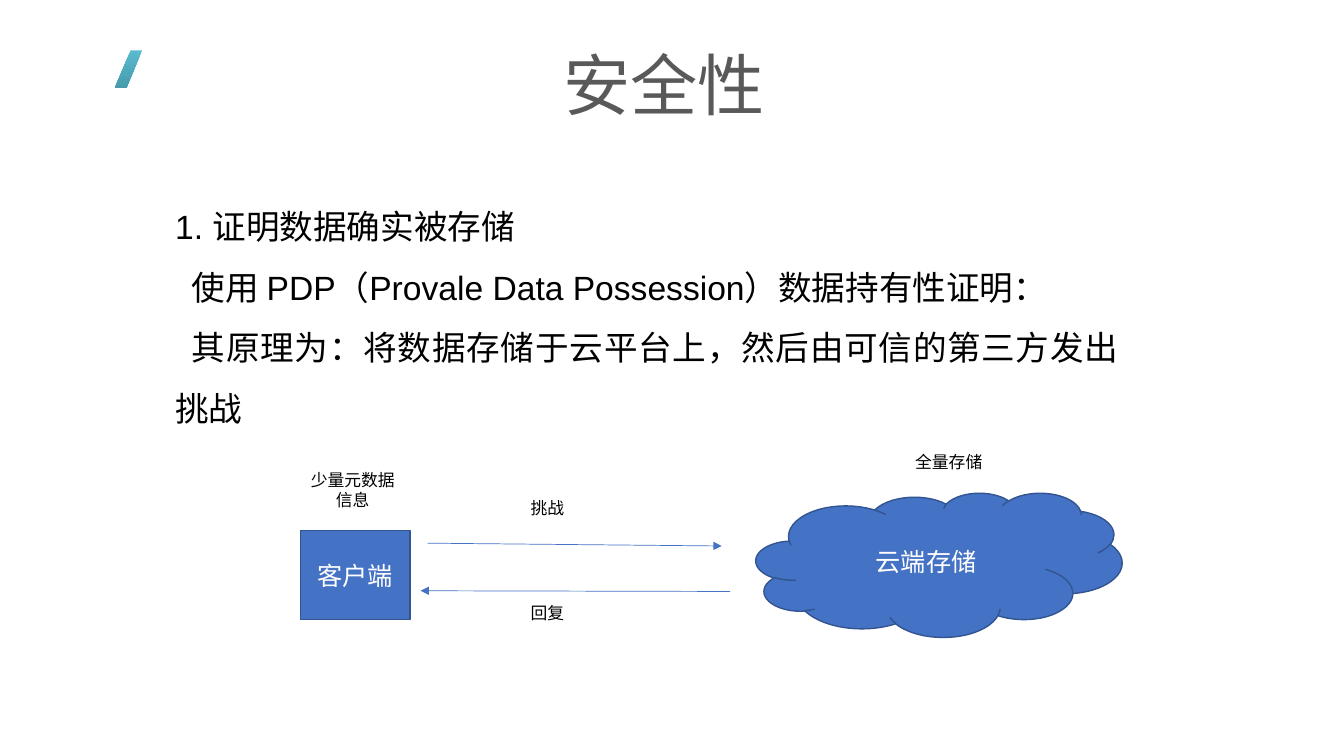
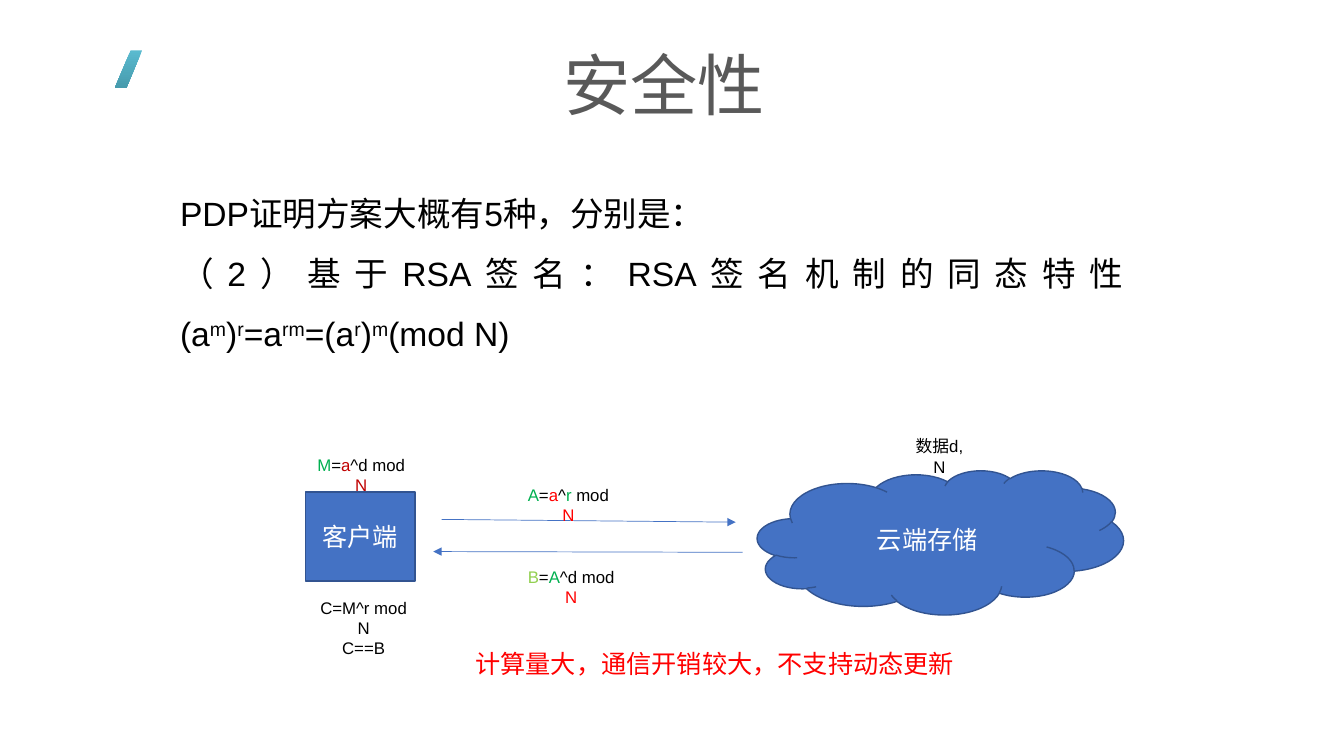
from collections import namedtuple

from lxml import etree
from pptx import Presentation
from pptx.dml.color import RGBColor
from pptx.enum.shapes import MSO_CONNECTOR as Connector, MSO_SHAPE as Preset
from pptx.enum.text import MSO_ANCHOR as Anchor, PP_ALIGN as Align
from pptx.oxml.ns import qn
from pptx.util import Pt

BLACK, WHITE, GREY = "000000", "FFFFFF", "595959"
BLUE, NAVY = "4472C4", "325491"
GREEN, LIME, RED, DARK_RED = "00B050", "92D050", "FF0000", "C00000"
TEAL_STOPS = ((0, "5ABACF"), (0.99, "479BAD"))

Piece = namedtuple("Piece", "text color raised", defaults=(BLACK, False))


def rgb(value):
    return RGBColor.from_string(value)


def raised(text):
    return Piece(text, raised=True)


class SlideBuilder:
    font = "Arial"
    title_size, body_size, shape_size, label_size = 48, 24, 18, 12

    def __init__(self):
        self.deck = Presentation()
        self.deck.slide_width, self.deck.slide_height = Pt(960), Pt(540)
        self.layout = self.deck.slide_layouts[5]
        self.page = None

    def start(self, title):
        self.page = self.deck.slides.add_slide(self.layout)
        if len(self.deck.slides) == 1:
            self.add_layout_mark()
        box = self.page.shapes.title
        box.left, box.top, box.width, box.height = Pt(101), Pt(35), Pt(747), Pt(57)
        box.text_frame.text = title
        box.text_frame.vertical_anchor = Anchor.MIDDLE
        para = box.text_frame.paragraphs[0]
        para.alignment, para.line_spacing = Align.CENTER, 0.9
        self.style(para.runs[0], self.title_size, GREY)

    def add_layout_mark(self):
        mark = self.preset(Preset.PARALLELOGRAM, 82, 36, 19.5, 27)
        mark.adjustments[0] = 0.58
        mark.fill.gradient()
        mark.fill.gradient_angle = 270
        for stop, (position, color) in zip(mark.fill.gradient_stops, TEAL_STOPS):
            stop.position, stop.color.rgb = position, rgb(color)
        mark.line.fill.background()
        mark.element.nvSpPr.cNvPr.set("id", "99")
        self.layout.shapes.element.append(mark.element)

    def style(self, span, size, color):
        span.font.name, span.font.size = self.font, Pt(size)
        span.font.color.rgb = rgb(color)

    def preset(self, kind, left, top, width, height):
        shape = self.page.shapes.add_shape(kind, Pt(left), Pt(top), Pt(width), Pt(height))
        shape.shadow.inherit = False
        return shape

    def node(self, kind, text, left, top, width, height):
        shape = self.preset(kind, left, top, width, height)
        shape.fill.solid()
        shape.fill.fore_color.rgb = rgb(BLUE)
        shape.line.color.rgb, shape.line.width = rgb(NAVY), Pt(1)
        shape.text_frame.text = text
        shape.text_frame.vertical_anchor = Anchor.MIDDLE
        para = shape.text_frame.paragraphs[0]
        para.alignment = Align.CENTER
        self.style(para.runs[0], self.shape_size, WHITE)

    def text(self, lines, left, top, width, height, size, align):
        box = self.page.shapes.add_textbox(Pt(left), Pt(top), Pt(width), Pt(height))
        frame = box.text_frame
        frame.word_wrap = True
        for index, line in enumerate(lines):
            para = frame.add_paragraph() if index else frame.paragraphs[0]
            para.alignment = align
            for piece in [Piece(line)] if isinstance(line, str) else line:
                span = para.add_run()
                span.text = piece.text
                self.style(span, size, piece.color)
                if piece.raised:
                    span._r.get_or_add_rPr().set("baseline", "30000")
        return frame.paragraphs

    def label(self, lines, left, top, width):
        height = 7 + 14.5 * len(lines)
        self.text(lines, left, top, width, height, self.label_size, Align.CENTER)

    def body(self, lines, left, top, height, indents=()):
        paras = self.text(lines, left, top, 688, height, self.body_size, Align.JUSTIFY)
        for para in paras:
            para.line_spacing = 1.5
        for para, indent in zip(paras, indents):
            para._p.get_or_add_pPr().set("indent", str(Pt(indent)))

    def arrow(self, left, top, run, rise):
        line = self.page.shapes.add_connector(
            Connector.STRAIGHT, Pt(left), Pt(top), Pt(left + run), Pt(top + rise))
        line.line.color.rgb, line.line.width = rgb(BLUE), Pt(0.5)
        outline = line.line._get_or_add_ln()
        etree.SubElement(outline, qn("a:tailEnd"), type="triangle")
        etree.SubElement(line.element.spPr, qn("a:effectLst"))

    def exchange(self, client, cloud, challenge, reply):
        self.node(Preset.RECTANGLE, "客户端", *client, 78.5, 63.5)
        self.node(Preset.CLOUD, "云端存储", *cloud, 261.5, 103)
        self.arrow(*challenge, 210, 2)
        self.arrow(*reply, -221, -0.5)


def storage_proof(slides):
    slides.start("安全性")
    slides.body(
        ["1. 证明数据确实被存储",
         "使用 PDP（Provale Data Possession）数据持有性证明：",
         "其原理为：将数据存储于云平台上，然后由可信的第三方发出挑战"],
        118, 129.5, 180, indents=(0, 12, 12))
    slides.exchange((214.5, 379), (540, 352), (305.5, 388), (521.5, 422.5))
    slides.label(["少量元数据", "信息"], 214.5, 332, 75)
    slides.label(["全量存储"], 646, 319.5, 63.5)
    slides.label(["挑战"], 371.5, 352, 39)
    slides.label(["回复"], 371.5, 427, 39)


def rsa_signature(slides):
    slides.start("安全性")
    slides.body(
        ["PDP证明方案大概有5种，分别是：",
         [Piece("（2）基于RSA签名：RSA签名机制的同态特性(a"), raised("m"),
          Piece(")"), raised("r"), Piece("=a"), raised("rm"), Piece("=(a"),
          raised("r"), Piece(")"), raised("m"), Piece("(mod N)")]],
        121.5, 119.5, 136)
    slides.exchange((218, 351.5), (541, 336), (315.5, 371), (530.5, 394.5))
    slides.label([[Piece("M", GREEN), Piece("="), Piece("a", DARK_RED),
                   Piece("^d mod "), Piece("N", DARK_RED)]], 215.5, 321, 85)
    slides.label(["C=M^r mod N", "C==B"], 218, 423.5, 83.5)
    slides.label([[Piece("A", GREEN), Piece("="), Piece("a", RED), Piece("^"),
                   Piece("r", GREEN), Piece(" mod "), Piece("N", RED)]], 366.5, 342.5, 79)
    slides.label([[Piece("B", LIME), Piece("="), Piece("A", GREEN),
                   Piece("^d mod "), Piece("N", RED)]], 366.5, 401.5, 83)
    slides.label(["数据d, N"], 641.5, 308, 59)
    slides.text([[Piece("计算量大，通信开销较大，不支持动态更新", RED)]],
                332.5, 459.5, 360, 29, slides.shape_size, Align.LEFT)


def main():
    slides = SlideBuilder()
    storage_proof(slides)
    rsa_signature(slides)
    slides.deck.save("out.pptx")


if __name__ == "__main__":
    main()
